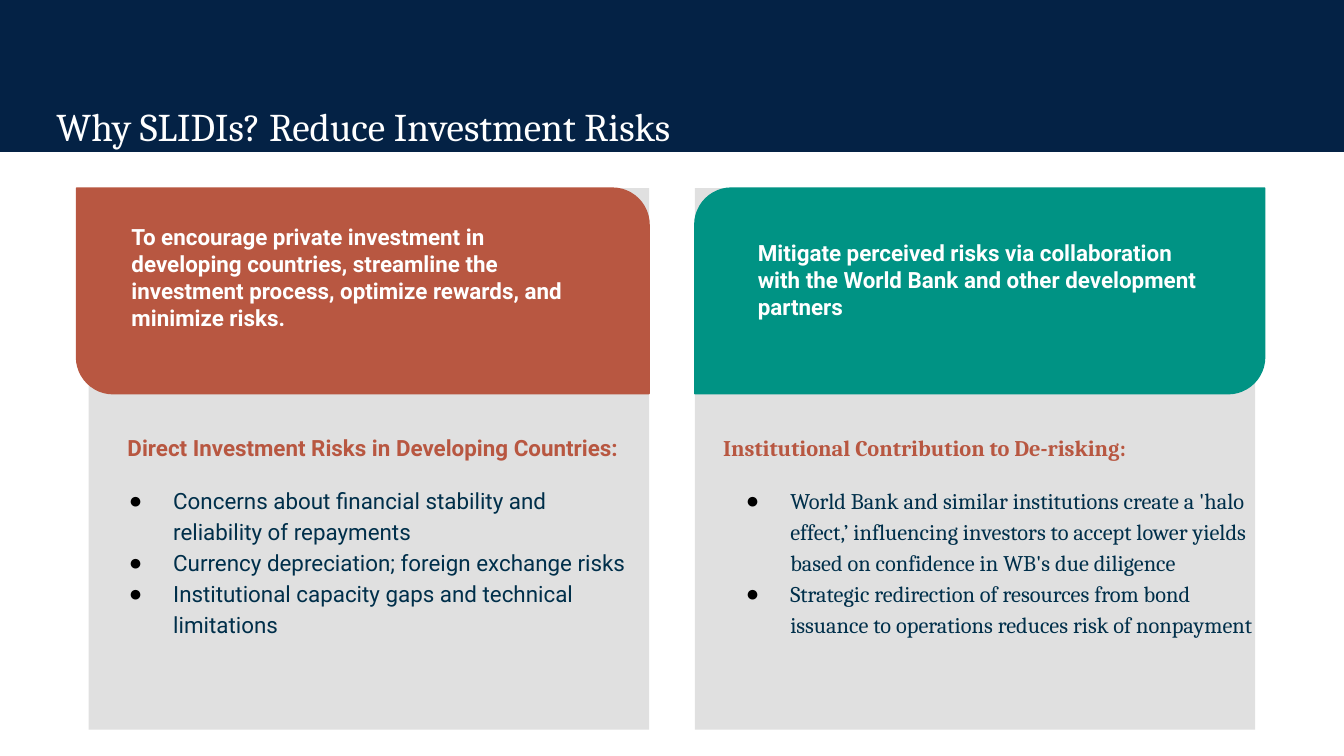
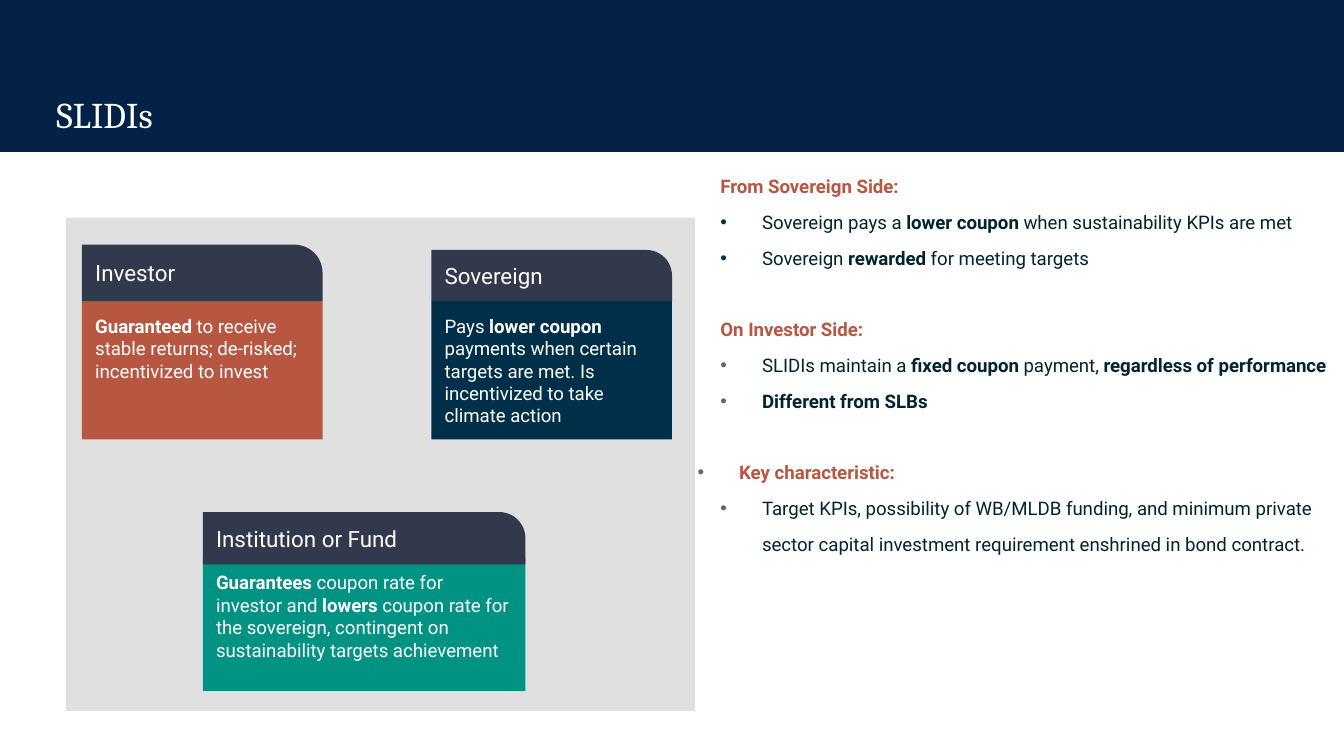
from dataclasses import dataclass

from lxml import etree
from pptx import Presentation
from pptx.dml.color import RGBColor
from pptx.enum.shapes import MSO_SHAPE
from pptx.enum.text import MSO_ANCHOR, MSO_AUTO_SIZE, PP_ALIGN
from pptx.oxml.ns import qn
from pptx.util import Pt

RECT = MSO_SHAPE.RECTANGLE
ROUND_ONE = MSO_SHAPE.ROUND_1_RECTANGLE
ROUND_DIAGONAL = MSO_SHAPE.ROUND_2_DIAG_RECTANGLE
TOP, MIDDLE = MSO_ANCHOR.TOP, MSO_ANCHOR.MIDDLE
LEFT = PP_ALIGN.LEFT
FIT_NONE = MSO_AUTO_SIZE.NONE

PX = 9144  # EMU in one px, 100 px to the inch
PAGE_WIDTH = 1000
INSET = 10


@dataclass(frozen=True)
class Theme:
    band: str = "042245"
    panel: str = "E0E0E0"
    rust: str = "B85741"
    green: str = "009384"
    navy: str = "002F4A"
    slate: str = "32394D"
    ink: str = "00252E"
    gray: str = "666666"
    black: str = "000000"
    white: str = "FFFFFF"
    serif: str = "Cambria"
    sans: str = "Roboto"
    bullet: str = "Arial"
    label: float = 12
    small: float = 10


THEME = Theme()


@dataclass
class Line:
    """One paragraph; words between asterisks are bold."""
    text: str
    color: str = THEME.white
    margin: int = 0
    hang: int = 0
    bullet: str = ""
    bullet_color: str = THEME.black
    before: float = 0


def heading(text, **extra):
    return Line(f"*{text}*", THEME.rust, **extra)


def risk(text, before=0):
    return Line(text, THEME.navy, 50, 33, "●", THEME.black, before)


def term(text, bullet_color=THEME.gray):
    return Line(text, THEME.ink, 48, 31, "•", bullet_color)


# Content: boxes are (left, top, width, height) in px
TITLES = [
    ("Why SLIDIs? Reduce Investment Risks", 21, 1.15),
    ("SLIDIs", 19.4, 0.95),
]
TITLE_BOX = (32, 61, 936, 53)
BAND_BOX = (0, 0, PAGE_WIDTH, 113)

RISK_PANELS = [(517, 140, 417, 403), (66, 140, 417, 403)]
RISK_CARDS = [
    # card box, corner adjustments, colour, text box, text
    ((57, 140, 426, 153), (0, 0.178), THEME.rust, (88, 156, 365, 121),
     "*To encourage private investment in developing countries, streamline "
     "the investment process, optimize rewards, and minimize risks.*"),
    ((517, 140, 424, 153), (0.178, 0), THEME.green, (554, 168, 350, 45),
     "*Mitigate perceived risks via collaboration with the World Bank and "
     "other development partners*"),
]
DIRECT_BOX = (69, 310, 415, 238)
DIRECT_RISKS = [
    heading("Direct Investment Risks in Developing Countries:", margin=16),
    risk("Concerns about financial stability and reliability of repayments", 12),
    risk("Currency depreciation; foreign exchange risks"),
    risk("Institutional capacity gaps and technical limitations"),
]
INSTITUTION_BOX = (528, 310, 417, 218)
INSTITUTION_ROLE = [
    heading("Institutional Contribution to De-risking:"),
    risk("World Bank and similar institutions create a 'halo effect,’ "
         "influencing investors to accept lower yields based on confidence "
         "in WB's due diligence", 12),
    risk("Strategic redirection of resources from bond issuance to operations "
         "reduces risk of nonpayment"),
]

PARTY_PANEL = (49, 162, 468, 367)
PARTIES = [
    # name, header box, body box, colour, text
    ("Institution or Fund", (151, 381, 240, 39), (151, 415, 240, 99), THEME.green,
     "*Guarantees* coupon rate for investor and *lowers* coupon rate for the "
     "sovereign, contingent on sustainability targets achievement"),
    ("Sovereign", (321, 186, 179, 38), (321, 224, 179, 103), THEME.navy,
     "Pays *lower coupon* payments when certain targets are met. "
     "Is incentivized to take climate action"),
    ("Investor", (61, 182, 179, 42), (61, 224, 179, 103), THEME.rust,
     "*Guaranteed* to receive stable returns; de-risked; incentivized to invest"),
]
SIDES_BOX = (509, 110, 516, 472)
SECTION_GAP = 19
SIDES = [
    heading("From Sovereign Side:", margin=17),
    term("Sovereign pays a *lower coupon* when sustainability KPIs are met", THEME.navy),
    term("Sovereign *rewarded* for meeting targets", THEME.navy),
    heading("On Investor Side:", margin=17, before=SECTION_GAP),
    term("SLIDIs maintain a *fixed coupon* payment, *regardless of performance*"),
    term("*Different from SLBs*"),
    heading("Key characteristic:", margin=31, hang=31, bullet="•",
            bullet_color=THEME.gray, before=SECTION_GAP),
    term("Target KPIs, possibility of WB/MLDB funding, and minimum private "
         "sector capital investment requirement enshrined in bond contract."),
]


def scaled(box):
    return [value * PX for value in box]


def set_all(target, values):
    for name, value in values.items():
        setattr(target, name, value)


def place(shape, box):
    set_all(shape, dict(zip(("left", "top", "width", "height"), scaled(box))))


def set_bullet(para, line):
    properties = para._p.get_or_add_pPr()
    properties.set("marL", str(line.margin * PX))
    properties.set("indent", str(-line.hang * PX))
    if not line.bullet:
        etree.SubElement(properties, qn("a:buNone"))
        return
    color = etree.SubElement(properties, qn("a:buClr"))
    etree.SubElement(color, qn("a:srgbClr"), val=line.bullet_color)
    etree.SubElement(properties, qn("a:buFont"), typeface=THEME.bullet)
    etree.SubElement(properties, qn("a:buChar"), char=line.bullet)


def write(shape, lines, size, font=THEME.sans, spacing=1.0, anchor=TOP):
    frame = shape.text_frame
    set_all(frame, {"word_wrap": True, "auto_size": FIT_NONE, "vertical_anchor": anchor})
    for side in ("left", "top", "right", "bottom"):
        setattr(frame, f"margin_{side}", INSET * PX)
    for number, line in enumerate(lines):
        para = frame.add_paragraph() if number else frame.paragraphs[0]
        set_bullet(para, line)
        set_all(para, {"alignment": LEFT, "line_spacing": spacing,
                       "space_before": Pt(line.before), "space_after": Pt(0)})
        for part, text in enumerate(line.text.split("*")):
            if text:
                span = para.add_run()
                span.text = text
                set_all(span.font, {"name": font, "size": Pt(size), "bold": part % 2 == 1})
                span.font.color.rgb = RGBColor.from_string(line.color)


def add_block(page, kind, box, color, adjustments=(), outlined=False):
    shape = page.shapes.add_shape(kind, *scaled(box))
    shape.shadow.inherit = False
    for number, value in enumerate(adjustments):
        shape.adjustments[number] = value
    shape.fill.solid()
    shape.fill.fore_color.rgb = RGBColor.from_string(color)
    if outlined:
        shape.line.color.rgb = RGBColor.from_string(color)
        shape.line.width = Pt(0.75)
    else:
        shape.line.fill.background()
    return shape


def add_page(deck, layout, title):
    text, size, spacing = title
    page = deck.slides.add_slide(layout)
    place(page.shapes.title, TITLE_BOX)
    write(page.shapes.title, [Line(text)], size, THEME.serif, spacing)
    return page


def add_band(page, layout):
    """Draw the band once and hand it to the layout, behind its placeholders."""
    band = add_block(page, RECT, BAND_BOX, THEME.band)
    layout.shapes.element.insert(2, band.element)


def fill_body(page, box, lines, **style):
    """Fill the body placeholder and bring it in front of the panels."""
    body = page.placeholders[1]
    place(body, box)
    write(body, lines, **style)
    page.shapes.element.append(body.element)


def build_risks(page):
    for box in RISK_PANELS:
        add_block(page, RECT, box, THEME.panel)
    fill_body(page, INSTITUTION_BOX, INSTITUTION_ROLE,
              size=THEME.label, font=THEME.serif, spacing=1.15)
    for box, corners, color, text_box, text in RISK_CARDS:
        add_block(page, ROUND_DIAGONAL, box, color, corners, outlined=True)
        label = add_block(page, RECT, text_box, color, outlined=True)
        write(label, [Line(text)], THEME.label)
    direct = page.shapes.add_textbox(*scaled(DIRECT_BOX))
    write(direct, DIRECT_RISKS, THEME.label, spacing=1.15)


def build_parties(page):
    add_block(page, RECT, PARTY_PANEL, THEME.panel)
    for name, header_box, body_box, color, text in PARTIES:
        body = add_block(page, RECT, body_box, color)
        write(body, [Line(text)], THEME.small)
        header = add_block(page, ROUND_ONE, header_box, THEME.slate, (0.5,))
        write(header, [Line(name)], THEME.label, anchor=MIDDLE)
    fill_body(page, SIDES_BOX, SIDES, size=THEME.small, spacing=1.6)


def main():
    deck = Presentation()
    deck.slide_width = PAGE_WIDTH * PX
    deck.slide_height = deck.slide_width * 9 // 16
    layout = deck.slide_layouts[1]
    risks, parties = [add_page(deck, layout, title) for title in TITLES]
    add_band(risks, layout)
    build_risks(risks)
    build_parties(parties)
    deck.save("out.pptx")


if __name__ == "__main__":
    main()
